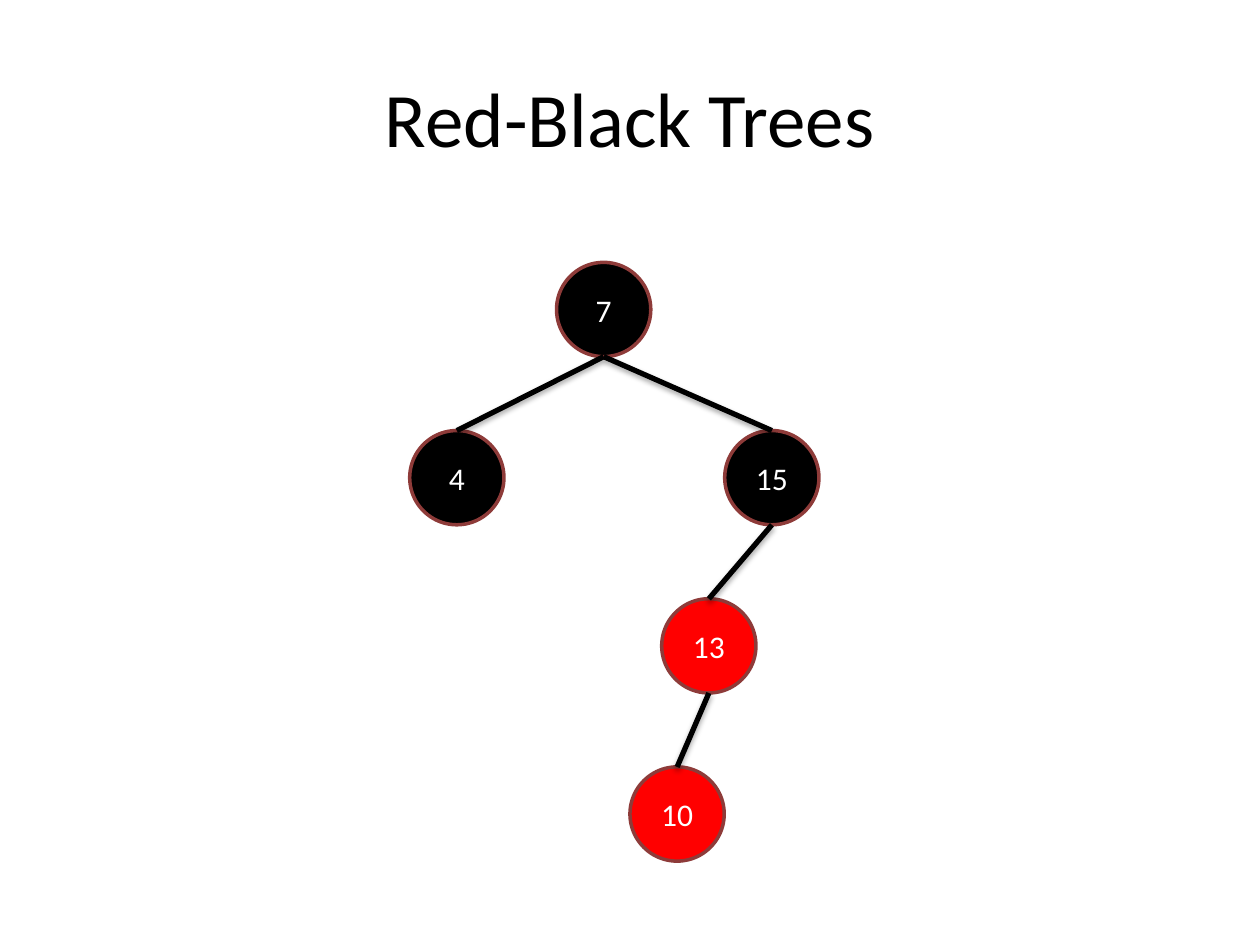
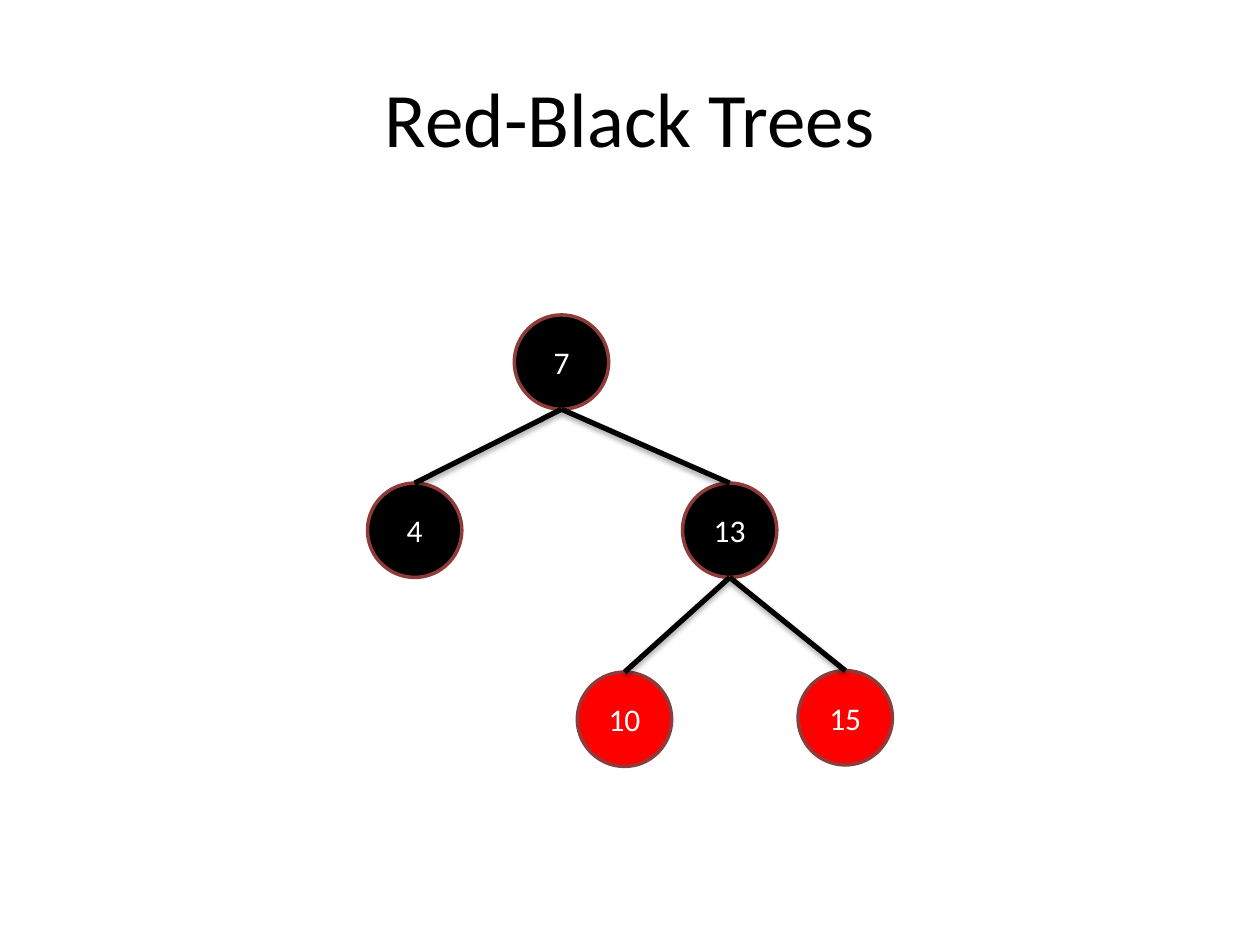
import dataclasses

import lxml.etree
import pptx
import pptx.dml.color
import pptx.enum.shapes
import pptx.enum.text
import pptx.oxml.ns
import pptx.util

Cm, Pt = pptx.util.Cm, pptx.util.Pt
Rgb = pptx.dml.color.RGBColor
qn = pptx.oxml.ns.qn


@dataclasses.dataclass(frozen=True)
class Theme:
    font: str = "Calibri"
    title: int = 44
    label: int = 18
    black: Rgb = Rgb(0x00, 0x00, 0x00)
    red: Rgb = Rgb(0xFF, 0x00, 0x00)
    white: Rgb = Rgb(0xFF, 0xFF, 0xFF)
    rim: Rgb = Rgb(0x8E, 0x3B, 0x39)


theme = Theme()
size = 1.9
step = 3.39


def write(frame, text, points, color):
    frame.vertical_anchor = pptx.enum.text.MSO_ANCHOR.MIDDLE
    para = frame.paragraphs[0]
    para.alignment = pptx.enum.text.PP_ALIGN.CENTER
    run = para.add_run()
    run.text = text
    run.font.name = theme.font
    run.font.size = Pt(points)
    run.font.color.rgb = color


def shade(line):
    """Give a connector a soft shadow straight below it."""
    group = lxml.etree.SubElement(line._element.spPr, qn("a:effectLst"))
    outer = lxml.etree.SubElement(
        group, qn("a:outerShdw"), blurRad="40000", dist="23000",
        dir="5400000", rotWithShape="0")
    color = lxml.etree.SubElement(outer, qn("a:srgbClr"), val=str(theme.black))
    lxml.etree.SubElement(color, qn("a:alpha"), val="35000")


# Each tree: left and top of the root, then key, parent key,
# shift from the parent in cm, and fill.
trees = [
    ((11.22, 5.29), [
        ("7", None, 0, 0, theme.black),
        ("4", "7", -2.96, step, theme.black),
        ("15", "7", step, step, theme.black),
        ("13", "15", -1.27, step, theme.red),
        ("10", "13", -0.64, step, theme.red),
    ]),
    ((10.37, 6.35), [
        ("7", None, 0, 0, theme.black),
        ("4", "7", -2.96, step, theme.black),
        ("13", "7", step, step, theme.black),
        ("10", "13", -2.12, 3.81, theme.red),
        ("15", "13", 2.33, 3.78, theme.red),
    ]),
]

deck = pptx.Presentation()
deck.slide_width, deck.slide_height = Cm(25.4), Cm(19.05)

for root, nodes in trees:
    slide = deck.slides.add_slide(deck.slide_layouts[5])
    title = slide.shapes.title
    title.left, title.top = Cm(1.27), Cm(0.76)
    title.width, title.height = Cm(22.86), Cm(3.18)
    write(title.text_frame, "Red-Black Trees", theme.title, theme.black)

    spots, discs = {None: root}, {}
    for key, parent, right, down, fill in nodes:
        left, top = spots[parent]
        spots[key] = left + right, top + down
        disc = slide.shapes.add_shape(
            pptx.enum.shapes.MSO_SHAPE.OVAL,
            *map(Cm, spots[key]), Cm(size), Cm(size))
        disc.shadow.inherit = False
        disc.fill.solid()
        disc.fill.fore_color.rgb = fill
        disc.line.color.rgb = theme.rim
        disc.line.width = Pt(2)
        write(disc.text_frame, key, theme.label, theme.white)
        discs[key] = disc

    for key, parent, *_ in nodes:
        if parent is None:
            continue
        edge = slide.shapes.add_connector(
            pptx.enum.shapes.MSO_CONNECTOR.STRAIGHT, 0, 0, 0, 0)
        edge.begin_connect(discs[parent], 2)
        edge.end_connect(discs[key], 0)
        # An oval has eight sites, and its bottom is number 4.
        edge._element.find(".//" + qn("a:stCxn")).set("idx", "4")
        edge.line.color.rgb = theme.black
        edge.line.width = Pt(3)
        shade(edge)

deck.save("out.pptx")
